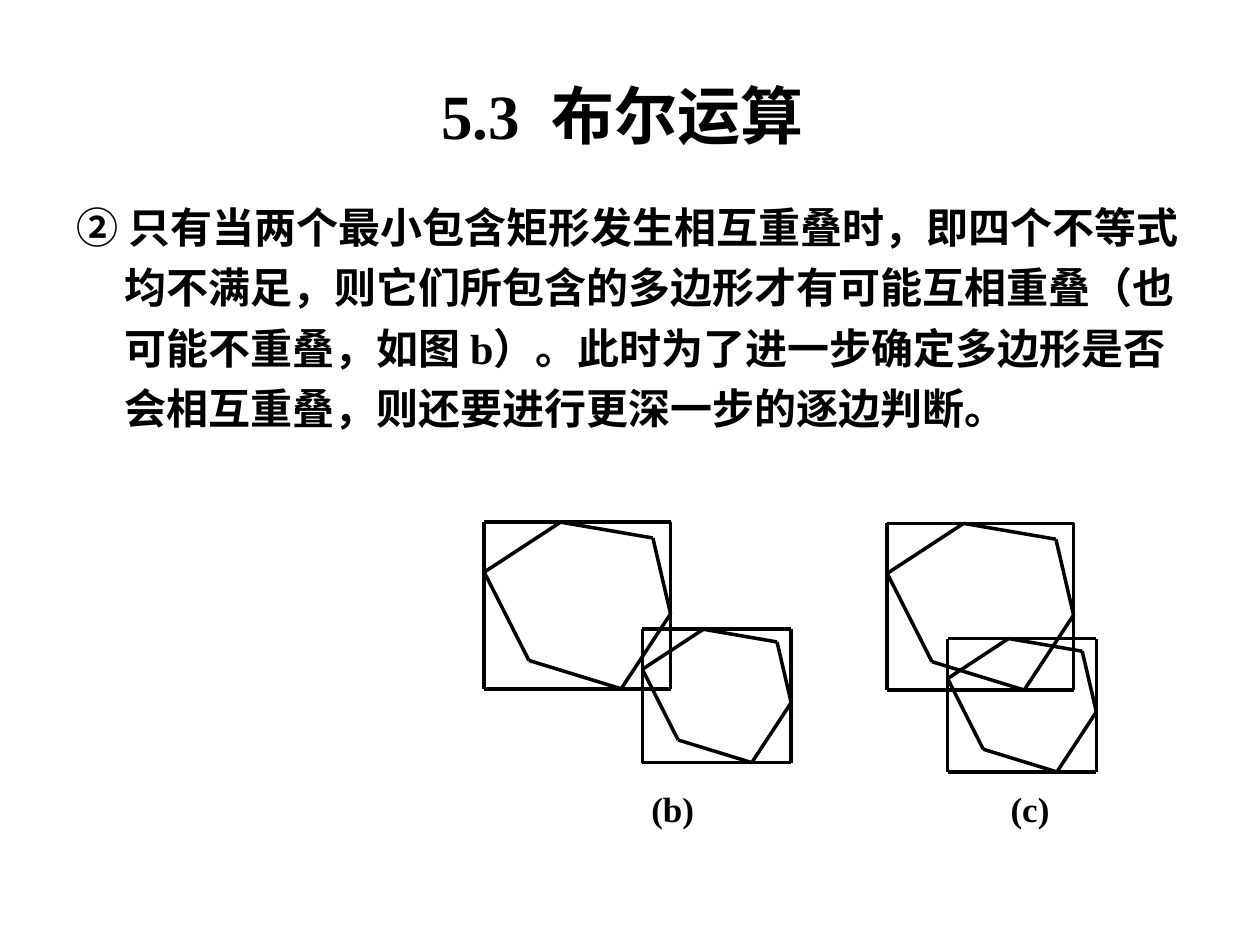
from collections import namedtuple
from dataclasses import dataclass

from lxml import etree
from pptx import Presentation
from pptx import util as u
from pptx.dml.color import RGBColor
from pptx.enum import shapes, text
from pptx.oxml.ns import qn

Pt = u.Pt
Box = namedtuple("Box", "x y w h")


@dataclass(frozen=True)
class Theme:
    ink: RGBColor = RGBColor(0, 0, 0)
    serif: str = "Times New Roman"
    sans: str = "Calibri"
    title: int = 36
    body: int = 24
    label: int = 20
    line: int = 0  # hairline


T = Theme()

# Outlines as fractions of the enclosing rectangle
RECTANGLE = [(0, 0), (1, 0), (1, 1), (0, 1)]
HEXAGON = [(0.41, 0), (0.905, 0.095), (1, 0.55), (0.735, 1), (0.24, 0.83), (0, 0.3)]


def pts(box):
    return [Pt(v) for v in box]


def add_run(p, content, size, font):
    r = p.add_run()
    r.text = content
    r.font.size, r.font.name, r.font.bold = Pt(size), font, True
    r.font.color.rgb = T.ink
    return r


def add_title(s, box):
    sp = s.shapes.title
    sp.left, sp.top, sp.width, sp.height = pts(box)
    tf = sp.text_frame
    tf.auto_size = text.MSO_AUTO_SIZE.NONE
    tf.vertical_anchor = text.MSO_ANCHOR.MIDDLE
    tf.margin_right = Pt(15.6)  # sets the heading slightly left of centre
    p = tf.paragraphs[0]
    p.alignment = text.PP_ALIGN.CENTER
    add_run(p, "5.3", T.title, T.serif)
    # One space, widened by 9 pt of letter spacing
    gap = add_run(p, " ", T.title, T.serif)
    gap.font._element.set("spc", "900")
    add_run(p, "布尔运算", T.title, T.serif)


def add_body(s, box):
    tf = s.shapes.add_textbox(*pts(box)).text_frame
    tf.word_wrap = True
    p = tf.paragraphs[0]
    p.line_spacing = 1.2
    # Hanging indent behind the circled number
    pPr = p._p.get_or_add_pPr()
    pPr.set("marL", str(Pt(27.4)))
    pPr.set("indent", str(-Pt(27.4)))
    for content, font in [
        ("② 只有当两个最小包含矩形发生相互重叠时，即四个不等式均不满足，"
         "则它们所包含的多边形才有可能互相重叠（也可能不重叠，如图 ", T.sans),
        ("b）", T.serif),
        ("。此时为了进一步确定多边形是否会相互重叠，则还要进行更深一步的逐边判断。", T.sans),
    ]:
        add_run(p, content, T.body, font)


def add_edges(group, box, outline):
    """Draw an outline edge by edge."""
    corners = [(Pt(box.x + fx * box.w), Pt(box.y + fy * box.h)) for fx, fy in outline]
    for start, end in zip(corners, corners[1:] + corners[:1]):
        edge = group.shapes.add_connector(shapes.MSO_CONNECTOR.STRAIGHT, *start, *end)
        edge.line.color.rgb = T.ink
        edge.line.width = Pt(T.line)
        etree.SubElement(edge._element.spPr, qn("a:effectLst"))


def add_figure(s, box, small_offset, label, label_x, label_w):
    """Large and small bounded hexagons, with a label below; offsets are from box."""
    group = s.shapes.add_group_shape()
    dx, dy = small_offset
    for bounds in (Box(box.x + dx, box.y + dy, 85, 76.2),
                   Box(box.x, box.y, 106.5, 95.2)):
        for outline in (RECTANGLE, HEXAGON):
            add_edges(group, bounds, outline)
    # Label
    label_box = Box(box.x + label_x, box.y + box.h - 34.5, label_w, 34.5)
    tf = group.shapes.add_textbox(*pts(label_box)).text_frame
    tf.word_wrap = True
    p = tf.paragraphs[0]
    p.alignment = text.PP_ALIGN.JUSTIFY
    add_run(p, label, T.label, T.serif)


def main():
    prs = Presentation()
    prs.slide_width, prs.slide_height = Pt(720), Pt(540)
    s = prs.slides.add_slide(prs.slide_layouts[5])
    add_body(s, Box(36.7, 105.8, 652.3, 385.2))
    add_title(s, Box(54, 20.2, 612, 90))
    add_figure(s, Box(276.7, 298.4, 175.5, 182.6), (90.4, 61.2), "(b)", 88.4, 68.4)
    add_figure(s, Box(507, 299.1, 119.6, 181.9), (34.5, 65.8), "(c)", 63.4, 49.7)
    prs.save("out.pptx")


if __name__ == "__main__":
    main()
